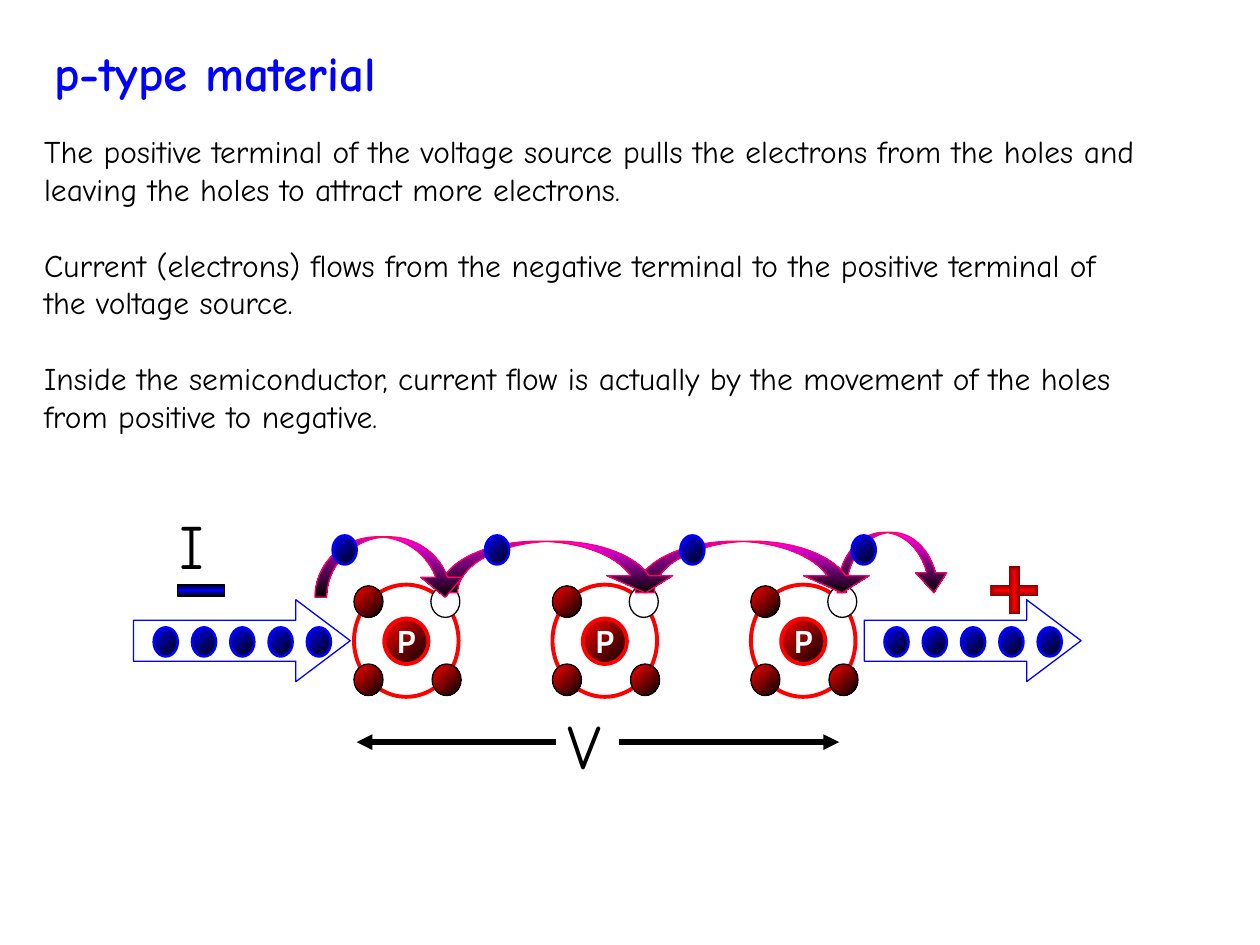
from pptx import Presentation
from pptx.dml.color import RGBColor
from pptx.enum.shapes import MSO_CONNECTOR, MSO_SHAPE
from pptx.enum.text import MSO_ANCHOR, MSO_AUTO_SIZE, PP_ALIGN
from pptx.oxml import parse_xml
from pptx.oxml.ns import nsdecls
from pptx.util import Inches, Pt
from lxml.etree import SubElement

BLACK = RGBColor(0x00, 0x00, 0x00)
WHITE = RGBColor(0xFF, 0xFF, 0xFF)
RED = RGBColor(0xFF, 0x00, 0x00)
DARK_RED = RGBColor(0x84, 0x00, 0x00)
BLUE = RGBColor(0x00, 0x00, 0xFF)
MAGENTA = RGBColor(0xFF, 0x00, 0xFF)
PINK = RGBColor(0xFF, 0x00, 0x66)

DIAGONAL = '<a:lin ang="2700000" scaled="1"/>'
DOWNWARD = '<a:lin ang="5400000" scaled="1"/>'
FROM_CENTRE = ('<a:path path="rect">'
               '<a:fillToRect l="50000" t="50000" r="50000" b="50000"/></a:path>')

prs = Presentation()
prs.slide_width, prs.slide_height = Inches(10), Inches(7.5)
UNIT = prs.slide_width // 10  # square grid: 10 columns by 7.5 rows
s = prs.slides.add_slide(prs.slide_layouts[1])


def add_figure(kind, box, colors=(), line=None, width=0.75, direction=DIAGONAL):
    """Draw a preset shape; no colours leave it hollow, several make a gradient."""
    sp = s.shapes.add_shape(kind, *(int(v * UNIT) for v in box))
    sp.shadow.inherit = False
    if not colors:
        sp.fill.background()
    elif len(colors) == 1:
        sp.fill.solid()
        sp.fill.fore_color.rgb = colors[0]
    else:
        sp.fill.gradient()
        stops = "".join(
            f'<a:gs pos="{100000 * i // (len(colors) - 1)}"><a:srgbClr val="{c}"/></a:gs>'
            for i, c in enumerate(colors))
        grad = parse_xml(f'<a:gradFill {nsdecls("a")} rotWithShape="0">'
                         f'<a:gsLst>{stops}</a:gsLst>{direction}</a:gradFill>')
        spPr = sp._element.spPr
        spPr.replace(spPr.find("{*}gradFill"), grad)
    if line is None:
        sp.line.fill.background()
    else:
        sp.line.color.rgb = line
        sp.line.width = Pt(width)
    return sp


def add_label(text, box, size, font, color, bold=False, wrap=False):
    tf = s.shapes.add_textbox(*(int(v * UNIT) for v in box)).text_frame
    tf.word_wrap = wrap
    p = tf.paragraphs[0]
    p.text = text
    p.font.size, p.font.name, p.font.bold = Pt(size), font, bold
    p.font.color.rgb = color
    return p


# Title and body
title, body = s.shapes.title, s.placeholders[1]
title.text_frame.text = "p-type material"
body.text_frame.text = "\n".join([
    "The positive terminal of the voltage source pulls the electrons from the holes and "
    "leaving the holes to attract more electrons.",
    "Current (electrons) flows from the negative terminal to the positive terminal of "
    "the voltage source.",
    "Inside the semiconductor, current flow is actually by the movement of the holes "
    "from positive to negative.",
])
for sp, box, size, color, bold in [
    (title, (0.33, 0.29, 3.63, 0.71), 28, BLUE, True),
    (body, (0.25, 1, 8.94, 2.52), 18, BLACK, False),
]:
    sp.left, sp.top, sp.width, sp.height = (int(v * UNIT) for v in box)
    tf = sp.text_frame
    tf.auto_size, tf.word_wrap = MSO_AUTO_SIZE.NONE, True
    tf.vertical_anchor = MSO_ANCHOR.TOP
    for i, p in enumerate(tf.paragraphs):
        p.alignment = PP_ALIGN.LEFT
        p.space_before = Pt(21.5 if i else 0)
        p.font.size, p.font.name, p.font.bold = Pt(size), "Comic Neue", bold
        p.font.color.rgb = color
        pPr = p._p.get_or_add_pPr()
        pPr.set("marL", "0")
        pPr.set("indent", "0")
        pPr.insert_element_before(parse_xml(f'<a:buNone {nsdecls("a")}/>'),
                                  "a:tabLst", "a:defRPr", "a:extLst")

# Three atoms, each with three electrons and a hole at the upper right
for atom in range(3):
    x = 2.81 + 1.575 * atom
    add_figure(MSO_SHAPE.OVAL, (x, 4.64, 0.83, 0.89), line=RED, width=2.25)
    add_figure(MSO_SHAPE.OVAL, (x + 0.24, 4.91, 0.35, 0.36), (RED, BLACK), RED, 2.25)
    for dx, y, colors in [(0.62, 5.27, (RED, BLACK)), (0, 5.27, (RED, BLACK)),
                          (0, 4.65, (RED, BLACK)), (0.61, 4.65, (WHITE,))]:
        add_figure(MSO_SHAPE.OVAL, (x + dx, y, 0.23, 0.25), colors, BLACK)
    p = add_label("P", (x + 0.12, 4.89, 0.59, 0.4), 18, "Cabin", WHITE, True, True)
    p.alignment = PP_ALIGN.CENTER

# Electron streams entering and leaving
for x in (1.06, 6.86):
    for i in range(5):
        add_figure(MSO_SHAPE.OVAL, (x + 0.16 + 0.304 * i, 4.98, 0.19, 0.23),
                   (BLUE, BLACK), BLUE, 1.5)
    sp = add_figure(MSO_SHAPE.RIGHT_ARROW, (x, 4.76, 1.72, 0.65), line=BLUE)
    sp.adjustments[0], sp.adjustments[1] = 0.5, 0.664

# Electrons jumping from hole to hole
for box, thickness, head in [
    ((6.85, 4.02, 0.48, 0.89), 0.145, 0.514),
    ((5.79, 3.55, 0.41, 1.9), 0.36, 1.277),
    ((4.23, 3.55, 0.41, 1.9), 0.36, 1.277),
    ((2.86, 3.9, 0.48, 1.2), 0.196, 0.694),
]:
    sp = add_figure(MSO_SHAPE.CURVED_LEFT_ARROW, box, (MAGENTA, BLACK), PINK,
                    direction=DOWNWARD)
    sp.rotation = 270
    for i, value in enumerate((thickness, head, 0.333)):
        sp.adjustments[i] = value
for x in (2.64, 3.85, 5.4, 6.76):
    add_figure(MSO_SHAPE.OVAL, (x, 4.25, 0.19, 0.23), (BLUE, BLACK), BLUE, 1.5)

# Minus and plus terminals
add_figure(MSO_SHAPE.RECTANGLE, (1.41, 4.64, 0.37, 0.09), (BLACK, BLUE, BLACK), BLACK,
           direction=DOWNWARD)
for rotation in (0, 90):
    bar = add_figure(MSO_SHAPE.RECTANGLE, (7.86, 4.64, 0.38, 0.09), (RED, DARK_RED),
                     direction=FROM_CENTRE)
    bar.rotation = rotation

# Voltage span and current label
add_label("V", (4.41, 5.56, 0.53, 0.7), 36, "Comic Neue", BLACK)
add_label("I", (1.33, 3.97, 0.47, 0.7), 36, "Comic Neue", BLACK)
for start, end in [(4.41, 2.83), (4.91, 6.66)]:
    y = int(5.89 * UNIT)
    line = s.shapes.add_connector(MSO_CONNECTOR.STRAIGHT,
                                  int(start * UNIT), y, int(end * UNIT), y)
    line.line.color.rgb = BLACK
    line.line.width = Pt(3)
    ln = line.line._get_or_add_ln()
    ns = ln.nsmap["a"]
    SubElement(ln, f"{{{ns}}}tailEnd", type="triangle")
    SubElement(line._element.spPr, f"{{{ns}}}effectLst")

prs.save("out.pptx")
